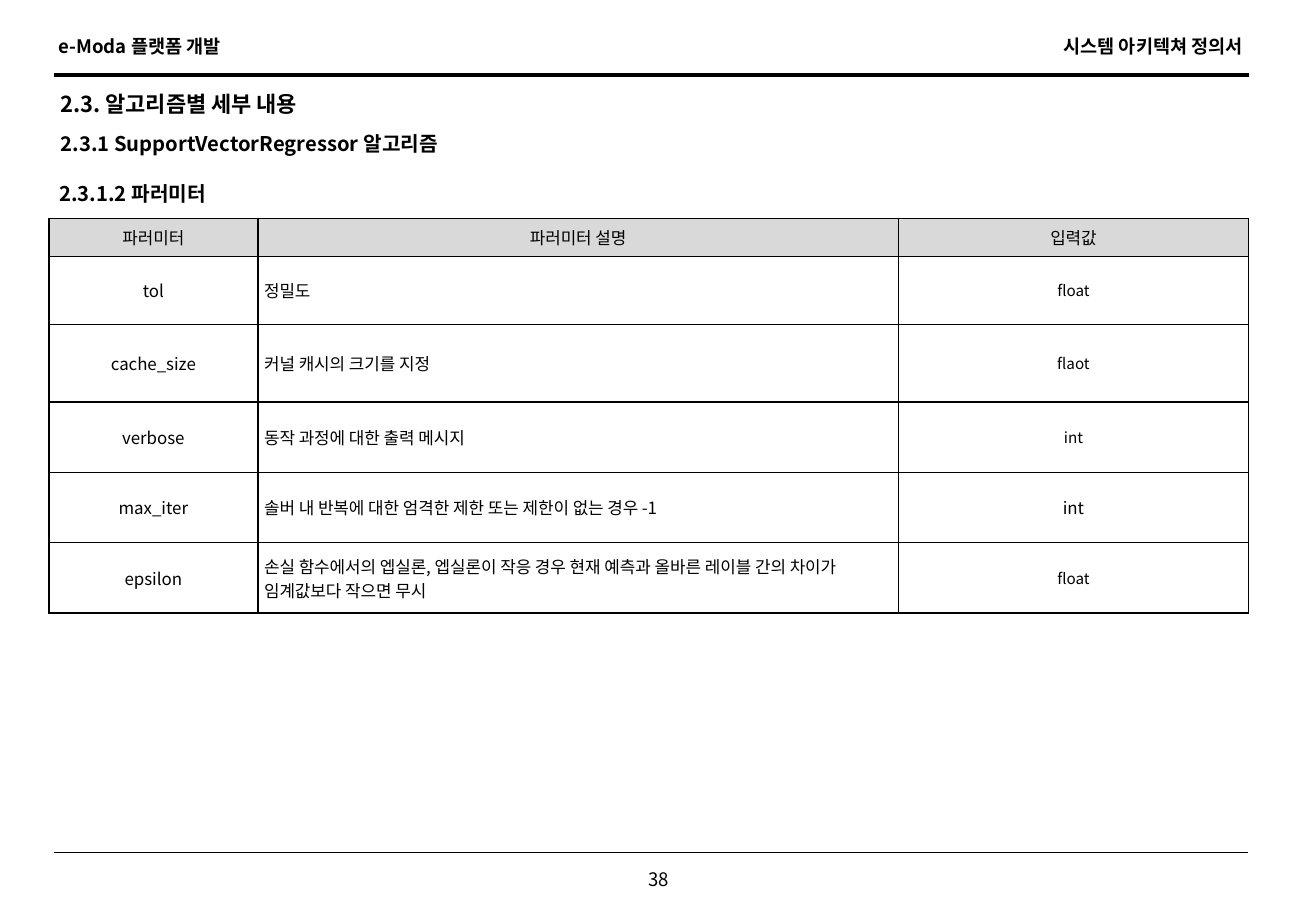
from dataclasses import dataclass

from lxml import etree
from pptx import Presentation
from pptx import util as u
from pptx.dml.color import RGBColor
from pptx.enum import shapes, text
from pptx.oxml import ns


@dataclass(frozen=True)
class Theme:
    font: str = "Noto Sans CJK KR"
    ink: str = "000000"
    paper: str = "FFFFFF"
    header_fill: str = "D9D9D9"
    section: int = 13
    heading: int = 12
    running: int = 11
    cell: int = 10
    value: int = 9


theme = Theme()
LEFT, CENTER, RIGHT = text.PP_ALIGN.LEFT, text.PP_ALIGN.CENTER, text.PP_ALIGN.RIGHT


def write(tf, content, size, bold=False, align=LEFT, wrap=True):
    tf.word_wrap = wrap
    p = tf.paragraphs[0]
    p.alignment = align
    r = p.add_run()
    r.text = content
    r.font.size = u.Pt(size)
    r.font.bold = bold
    r.font.color.rgb = RGBColor.from_string(theme.ink)
    r.font.name = theme.font
    # East Asian typeface for the Korean letters
    etree.SubElement(r.font._element, ns.qn("a:ea"), typeface=theme.font)


def draw_border(cell, side):
    ln = etree.SubElement(cell._tc.get_or_add_tcPr(), ns.qn(f"a:{side}"), w=str(u.Pt(1)))
    fill = etree.SubElement(ln, ns.qn("a:solidFill"))
    etree.SubElement(fill, ns.qn("a:srgbClr"), val=theme.ink)


prs = Presentation()
prs.slide_width, prs.slide_height = u.Cm(27.51), u.Cm(19.05)
s = prs.slides.add_slide(prs.slide_layouts[6])

# Header and footer rules
for x1, x2, y, weight in [(1.14, 26.11, 1.57, 2.75), (1.12, 26.09, 17.83, 0.75)]:
    rule = s.shapes.add_connector(
        shapes.MSO_CONNECTOR.STRAIGHT, u.Cm(x1), u.Cm(y), u.Cm(x2), u.Cm(y))
    rule.line.color.rgb = RGBColor.from_string(theme.ink)
    rule.line.width = u.Pt(weight)
    etree.SubElement(rule._element.spPr, ns.qn("a:effectLst"))

# Running titles and page number
running = [
    ("e-Moda 플랫폼 개발", 0.97, 0.61, 4.32, LEFT, True),
    ("시스템 아키텍쳐 정의서", 21.54, 0.61, 4.7, RIGHT, True),
    ("38", 13.23, 18.03, 1.09, CENTER, False),
]
for content, x, y, width, align, bold in running:
    sp = s.shapes.add_textbox(u.Cm(x), u.Cm(y), u.Cm(width), u.Cm(0.74))
    write(sp.text_frame, content, theme.running, bold, align, wrap=False)

# Section headings
headings = [
    ("2.3. 알고리즘별 세부 내용", 1.02, 1.65, theme.section),
    ("2.3.1 SupportVectorRegressor 알고리즘", 1.02, 2.49, theme.heading),
    ("2.3.1.2 파러미터", 0.99, 3.53, theme.heading),
]
for content, x, y, size in headings:
    sp = s.shapes.add_textbox(u.Cm(x), u.Cm(y), u.Cm(24.77), u.Cm(1.04))
    sp.text_frame.vertical_anchor = text.MSO_ANCHOR.MIDDLE
    write(sp.text_frame, content, size, bold=True)

# Parameter table
parameters = [
    ("파러미터", "파러미터 설명", "입력값"),
    ("tol", "정밀도", "float"),
    ("cache_size", "커널 캐시의 크기를 지정", "flaot"),
    ("verbose", "동작 과정에 대한 출력 메시지", "int"),
    ("max_iter", "솔버 내 반복에 대한 엄격한 제한 또는 제한이 없는 경우 -1", "int"),
    ("epsilon", "손실 함수에서의 엡실론, 엡실론이 작응 경우 현재 예측과 올바른 "
                "레이블 간의 차이가 임계값보다 작으면 무시", "float"),
]
col_widths = [4.37, 13.39, 7.32]
row_heights = [0.79, 1.42, 1.63, 1.47, 1.47, 1.47]
table = s.shapes.add_table(
    len(parameters), len(col_widths), u.Cm(1.02), u.Cm(4.57),
    u.Cm(sum(col_widths)), u.Cm(sum(row_heights))).table
table.first_row = table.horz_banding = False
for column, width in zip(table.columns, col_widths):
    column.width = u.Cm(width)

for i, (row, height) in enumerate(zip(parameters, row_heights)):
    table.rows[i].height = u.Cm(height)
    for j, content in enumerate(row):
        cell = table.cell(i, j)
        cell.vertical_anchor = text.MSO_ANCHOR.MIDDLE
        cell.margin_left = cell.margin_right = u.Cm(0.13)
        cell.margin_top = cell.margin_bottom = u.Cm(0.08)
        for side in ("lnL", "lnR", "lnT", "lnB"):
            draw_border(cell, side)
        cell.fill.solid()
        cell.fill.fore_color.rgb = RGBColor.from_string(
            theme.header_fill if i == 0 else theme.paper)
        # Input types are smaller, except for max_iter
        small = i > 0 and j == 2 and row[0] != "max_iter"
        write(cell.text_frame, content, theme.value if small else theme.cell,
              align=LEFT if i > 0 and j == 1 else CENTER)

prs.save("out.pptx")
